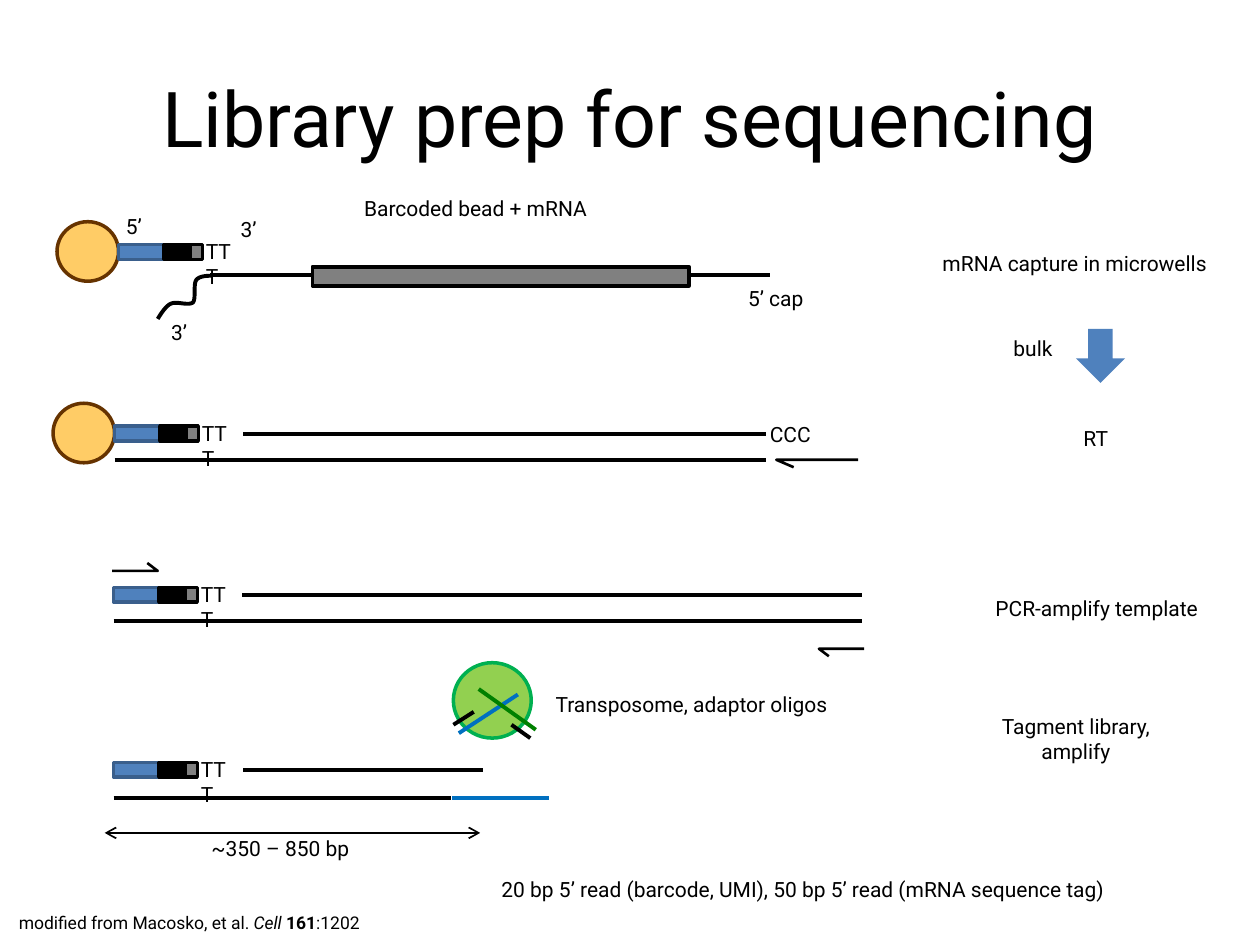
"""Build the slide that shows library preparation for sequencing."""
from lxml import etree
from pptx import Presentation
from pptx import util as u
from pptx.dml.color import RGBColor
from pptx.enum import shapes, text
from pptx.oxml import ns

FONT = "Roboto"
BLACK, GREY, BLUE = "000000", "808080", "4F81BD"
OLIGO_BLUE, OLIGO_GREEN = "0070C0", "008000"
KIND = shapes.MSO_SHAPE

TITLE = "Library prep for sequencing"
CITATION = [("modified from Macosko, et al. ", ""), ("Cell ", "italic"),
            ("161", "bold"), (":1202", "")]

LABELS = [
    ("5’ cap", 14.83, 5.64, 1.68),
    ("3’", 3.2, 6.32, 0.86),
    ("3’", 4.6, 4.24, 0.86),
    ("5’", 2.29, 4.19, 0.86),
    ("CCC", 15.27, 8.38, 1.42),
    ("Transposome, adaptor oligos", 10.95, 13.82, 6.07),
    ("~350 – 850 bp", 4.01, 16.71, 3.33),
    ("20 bp 5’ read (barcode, UMI), 50 bp 5’ read (mRNA sequence tag)", 9.86, 17.55, 13.08),
]
WIDE_LABELS = [
    ("Barcoded bead + mRNA", 7.09, 3.81, 8.64, False),
    ("mRNA capture in microwells", 18.75, 4.93, 6.58, False),
    ("bulk", 19.63, 6.63, 2.39, True),
    ("RT", 18.8, 8.46, 6.58, True),
    ("PCR-amplify template", 18.82, 11.89, 6.58, True),
    ("Tagment library,\namplify", 19.6, 14.25, 4.18, True),
]

PRIMERS = [(2.39, 4.93, True), (2.31, 8.59, True), (2.29, 11.84, False), (2.29, 15.37, False)]
PRIMER_PARTS = [(0.91, BLUE, "3A5F8C"), (0.53, BLACK, BLACK), (0.25, GREY, BLACK)]

STRANDS = [
    (4.24, 15.52, 5.54, BLACK),
    (4.9, 15.44, 8.74, BLACK),
    (2.31, 15.44, 9.27, BLACK),
    (4.88, 17.37, 11.99, BLACK),
    (2.29, 17.37, 12.52, BLACK),
    (4.9, 9.09, 15.52, BLACK),
    (9.09, 9.73, 15.52, BLACK),
    (2.29, 9.09, 16.08, BLACK),
    (9.12, 11.07, 16.08, OLIGO_BLUE),
]
ADAPTORS = [
    ((9.25, 14.78), (10.44, 14), OLIGO_BLUE),
    ((9.14, 14.61), (9.55, 14.35), BLACK),
    ((10.8, 14.71), (9.65, 13.89), OLIGO_GREEN),
    ((10.69, 14.88), (10.31, 14.61), BLACK),
]
HALF_ARROWS = [
    [(17.3, 9.27), (15.65, 9.27), (16, 9.42)],
    [(2.26, 11.51), (3.18, 11.51), (2.97, 11.35)],
    [(17.42, 13.08), (16.51, 13.08), (16.71, 13.23)],
]
TAIL_START = (4.29, 5.56)
TAIL_CURVES = [
    [(4.17, 5.56), (4.04, 5.56), (3.96, 5.64)],
    [(3.89, 5.74), (3.96, 6.02), (3.89, 6.1)],
    [(3.78, 6.17), (3.58, 6.07), (3.45, 6.12)],
    [(3.33, 6.17), (3.2, 6.4), (3.18, 6.43)],
]

deck = Presentation()
deck.slide_width, deck.slide_height = u.Cm(25.4), u.Cm(19.05)
page = deck.slides.add_slide(deck.slide_layouts[6])


def color(value):
    return RGBColor.from_string(value)


def add_text(content, left, top, width, height=0.76, size=12, center=False,
             wrap=False, middle=False):
    box = page.shapes.add_textbox(*map(u.Cm, (left, top, width, height)))
    frame = box.text_frame
    frame.word_wrap = wrap
    if middle:
        frame.vertical_anchor = text.MSO_ANCHOR.MIDDLE
    paragraphs = [[(line, "")] for line in content.split("\n")] if isinstance(content, str) else [content]
    for index, spans in enumerate(paragraphs):
        para = frame.add_paragraph() if index else frame.paragraphs[0]
        para.alignment = text.PP_ALIGN.CENTER if center else text.PP_ALIGN.LEFT
        for words, style in spans:
            span = para.add_run()
            span.text = words
            span.font.name, span.font.size = FONT, u.Pt(size)
            span.font.color.rgb = color(BLACK)
            if style:
                setattr(span.font, style, True)


def add_shape(kind, left, top, width, height, fill, line=None, weight=2):
    shape = page.shapes.add_shape(kind, *map(u.Cm, (left, top, width, height)))
    shape.shadow.inherit = False
    shape.fill.solid()
    shape.fill.fore_color.rgb = color(fill)
    if line:
        shape.line.color.rgb = color(line)
        shape.line.width = u.Pt(weight)
    else:
        shape.line.fill.background()


def add_line(start, end, line=BLACK, weight=2.25, arrows=False):
    connector = page.shapes.add_connector(
        shapes.MSO_CONNECTOR.STRAIGHT, *map(u.Cm, (*start, *end)))
    connector.line.color.rgb = color(line)
    connector.line.width = u.Pt(weight)
    properties = connector._element.spPr
    etree.SubElement(properties, ns.qn("a:effectLst"))
    if arrows:
        for tag in ("a:headEnd", "a:tailEnd"):
            etree.SubElement(properties.find(ns.qn("a:ln")), ns.qn(tag), type="arrow")


def add_outline(points, weight):
    corners = [tuple(map(u.Cm, point)) for point in points]
    builder = page.shapes.build_freeform(*corners[0])
    builder.add_line_segments(corners[1:], close=False)
    shape = builder.convert_to_shape()
    shape.shadow.inherit = False
    shape.fill.background()
    shape.line.color.rgb = color(BLACK)
    shape.line.width = u.Pt(weight)


def curve_points(start, curves, steps=10):
    points = [start]
    for first, second, end in curves:
        origin = points[-1]
        for step in range(1, steps + 1):
            t = step / steps
            weights = ((1 - t) ** 3, 3 * t * (1 - t) ** 2, 3 * t * t * (1 - t), t ** 3)
            corners = (origin, first, second, end)
            points.append(tuple(sum(w * c[axis] for w, c in zip(weights, corners))
                                for axis in (0, 1)))
    return points


def add_primer(left, top, bead):
    if bead:
        add_shape(KIND.OVAL, left - 1.24, top - 0.46, 1.24, 1.2, "FFCC66", "663300")
    edge = left
    for width, fill, line in PRIMER_PARTS:
        add_shape(KIND.RECTANGLE, edge, top, width, 0.3, fill, line)
        edge += width
    add_text("TTT", left + 1.51, top - 0.24, 1.22, wrap=True)


def main():
    add_text(TITLE, 1.27, 0.76, 22.86, 3.18, size=44, center=True, wrap=True, middle=True)
    for primer in PRIMERS:
        add_primer(*primer)
    for left, right, height, line in STRANDS:
        add_line((left, height), (right, height), line)
    add_outline(curve_points(TAIL_START, TAIL_CURVES), 2.25)
    add_shape(KIND.RECTANGLE, 6.3, 5.38, 7.59, 0.38, GREY, BLACK, 2.25)
    for points in HALF_ARROWS:
        add_outline(points, 1.5)
    add_shape(KIND.OVAL, 9.14, 13.36, 1.57, 1.52, "92D050", "00B050")
    for adaptor in ADAPTORS:
        add_line(*adaptor)
    add_line((2.11, 16.79), (9.68, 16.79), weight=1, arrows=True)
    add_shape(KIND.DOWN_ARROW, 21.69, 6.63, 0.99, 1.09, BLUE)
    for label in LABELS:
        add_text(*label)
    for words, left, top, width, center in WIDE_LABELS:
        add_text(words, left, top, width, center=center, wrap=True)
    add_text(CITATION, 0.13, 18.26, 8.97, 0.69, size=10, wrap=True)
    deck.save("out.pptx")


if __name__ == "__main__":
    main()
